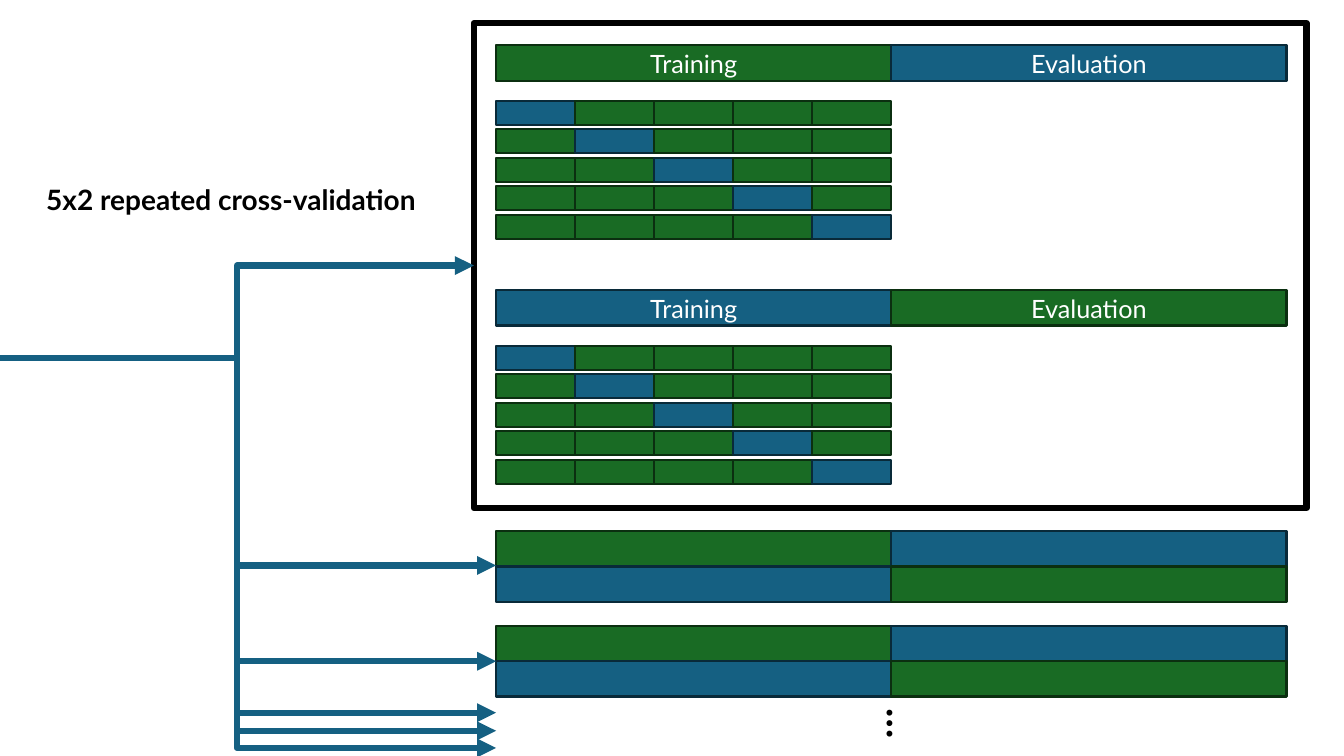
from lxml import etree
from pptx import Presentation
from pptx.dml.color import RGBColor
from pptx.enum.shapes import MSO_CONNECTOR, MSO_SHAPE
from pptx.enum.text import MSO_ANCHOR, MSO_AUTO_SIZE, PP_ALIGN
from pptx.oxml.ns import qn
from pptx.util import Inches, Pt

RECT = MSO_SHAPE.RECTANGLE
ELBOW = MSO_CONNECTOR.ELBOW
MIDDLE = MSO_ANCHOR.MIDDLE
CENTER = PP_ALIGN.CENTER
GROW = MSO_AUTO_SIZE.SHAPE_TO_FIT_TEXT

GREEN, BLUE = "196B24", "156082"
OUTLINE = {GREEN: "0B2F10", BLUE: "092A39"}
LEFT = 4.92            # left edge of all bars
HALF_W, HALF_H = 3.92, 0.35
FOLDS = 5
FOLD_W, FOLD_H = HALF_W / FOLDS, 0.24
FOLD_STEP = 1.13 / (FOLDS - 1)
TRUNK_X = 2.35         # vertical line the arrows branch from


def rgb(value):
    return RGBColor.from_string(value)


def add_bar(shapes, x, y, w, h, color, label=""):
    sp = shapes.add_shape(RECT, Inches(x), Inches(y), Inches(w), Inches(h))
    sp.shadow.inherit = False
    sp.fill.solid()
    sp.fill.fore_color.rgb = rgb(color)
    sp.line.color.rgb = rgb(OUTLINE[color])
    sp.line.width = Pt(1.5)
    if label:
        tf = sp.text_frame
        tf.vertical_anchor = MIDDLE
        p = tf.paragraphs[0]
        p.alignment = CENTER
        r = p.add_run()
        r.text = label
        r.font.name, r.font.size = "Lato", Pt(18)
        r.font.color.rgb = rgb("FFFFFF")


prs = Presentation()
prs.slide_width, prs.slide_height = Inches(13.33), Inches(7.5)
s = prs.slides.add_slide(prs.slide_layouts[6])

# Detailed repeat: two swapped halves, each with its inner folds
for top, colors in [(0.45, (GREEN, BLUE)), (2.88, (BLUE, GREEN))]:
    group = s.shapes.add_group_shape()
    for i, label in enumerate(("Training", "Evaluation")):
        add_bar(group.shapes, LEFT + i * HALF_W, top, HALF_W, HALF_H,
                colors[i], label)
    for row in range(FOLDS):
        for col in range(FOLDS):
            add_bar(group.shapes, LEFT + col * FOLD_W,
                    top + 0.55 + row * FOLD_STEP, FOLD_W, FOLD_H,
                    BLUE if row == col else GREEN)

# Frame around the detailed repeat
frame = s.shapes.add_shape(RECT, Inches(4.7), Inches(0.23),
                           Inches(8.26), Inches(4.81))
frame.shadow.inherit = False
frame.fill.background()
frame.line.color.rgb = rgb("000000")
frame.line.width = Pt(4.5)

# Condensed repeats
for top in (5.27, 6.21):
    for row in range(2):
        for col in range(2):
            add_bar(s.shapes, LEFT + col * HALF_W, top + row * HALF_H,
                    HALF_W, HALF_H, GREEN if row == col else BLUE)

# Input arrow to the frame, then branches down the trunk
arrows = [(0, 3.55, 4.7, 2.64)]
arrows += [(TRUNK_X, 3.55, LEFT, y) for y in (5.61, 6.56, 7.07, 7.25, 7.42)]
for x1, y1, x2, y2 in arrows:
    c = s.shapes.add_connector(ELBOW, Inches(x1), Inches(y1),
                               Inches(x2), Inches(y2))
    c.line.color.rgb = rgb(BLUE)
    c.line.width = Pt(4.5)
    etree.SubElement(c.line._get_or_add_ln(), qn("a:tailEnd"), type="triangle")
    spPr = c._element.spPr
    etree.SubElement(spPr, qn("a:effectLst"))
    if x1 == TRUNK_X:  # bend right at the trunk
        etree.SubElement(spPr.find(".//" + qn("a:avLst")), qn("a:gd"),
                         name="adj1", fmla="val 0")
    else:
        c.end_connect(frame, 1)

# Title and continuation dots
for text, x, y, w, h, size, angle in [
    ("…", 8.68, 6.92, 0.54, 0.57, 28, 90),
    ("5x2 repeated cross-validation", 0.36, 1.76, 3.97, 0.44, 20, 0),
]:
    tb = s.shapes.add_textbox(Inches(x), Inches(y), Inches(w), Inches(h))
    tb.rotation = angle
    tf = tb.text_frame
    tf.word_wrap = False
    tf.auto_size = GROW
    r = tf.paragraphs[0].add_run()
    r.text = text
    for name, value in {"name": "Lato", "size": Pt(size), "bold": True}.items():
        setattr(r.font, name, value)
    r.font.color.rgb = rgb("000000")

prs.save("out.pptx")
